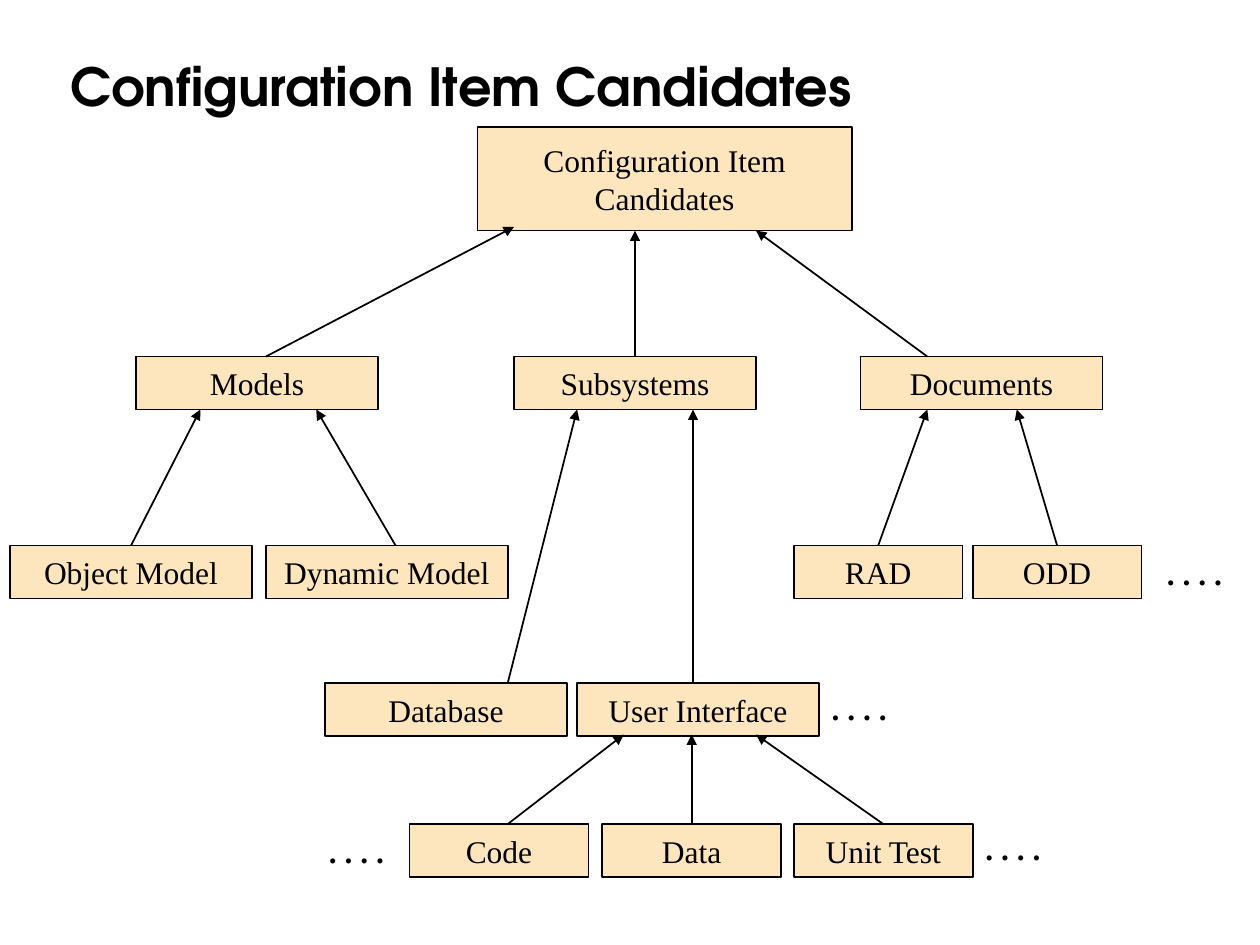
from lxml.etree import SubElement
from pptx import Presentation
from pptx.dml.color import RGBColor
from pptx.enum.shapes import MSO_CONNECTOR as Connector, MSO_SHAPE as Shape
from pptx.enum.text import MSO_ANCHOR as Anchor, PP_ALIGN as Align
from pptx.oxml.ns import qn
from pptx.util import Inches, Pt

BLACK = RGBColor(0x00, 0x00, 0x00)
WHITE = RGBColor(0xFF, 0xFF, 0xFF)
CREAM = RGBColor(0xFD, 0xE5, 0xBD)

BODY_FONT = "Times New Roman"
TITLE_FONT = "TeX Gyre Adventor"
ROOT = "Configuration Item\nCandidates"
ITEM_HEIGHT = 0.42

ROWS = [
    (2.83, 1.92, [("Models", 1.08), ("Subsystems", 4.08), ("Documents", 6.83)]),
    (4.33, 1.92, [("Object Model", 0.08), ("Dynamic Model", 2.11)]),
    (4.33, 1.34, [("RAD", 6.3), ("ODD", 7.72)]),
    (5.42, 1.92, [("Database", 2.58), ("User Interface", 4.58)]),
    (6.54, 1.42, [("Code", 3.25), ("Data", 4.78), ("Unit Test", 6.3)]),
]
ELLIPSES = [(9.16, 4.35), (2.51, 6.55), (7.72, 6.53), (6.5, 5.42)]

# A start of None means the middle of the child's top side.
LINKS = [
    ("Object Model", None, 1.59, 3.25),
    ("Dynamic Model", 3.14, 2.51, 3.25),
    ("Code", 4.03, 4.95, 5.83),
    ("Data", None, 5.49, 5.83),
    ("Unit Test", None, 6, 5.83),
    ("User Interface", 5.5, 5.5, 3.25),
    ("Database", 4.03, 4.58, 3.25),
    ("RAD", None, 7.36, 3.25),
    ("ODD", None, 8.07, 3.25),
    ("Models", 2.11, 4.08, 1.8),
    ("Subsystems", None, 5.04, 1.83),
    ("Documents", 7.36, 6, 1.83),
]


def write_text(shape, text, size=18, font=BODY_FONT, bold=False, align=Align.CENTER, wrap=False):
    text_frame = shape.text_frame
    text_frame.text = text
    text_frame.word_wrap = wrap
    text_frame.vertical_anchor = Anchor.MIDDLE
    for paragraph in text_frame.paragraphs:
        paragraph.alignment = align
        for run in paragraph.runs:
            run.font.size = Pt(size)
            run.font.name = font
            run.font.bold = bold
            run.font.color.rgb = BLACK


def add_title(slide, left, top, width, height):
    title = slide.shapes.add_textbox(Inches(left), Inches(top), Inches(width), Inches(height))
    write_text(title, "Configuration Item Candidates", 30, TITLE_FONT, True, Align.LEFT, True)
    title.text_frame.paragraphs[0].line_spacing = 0.9


def add_item(slide, text, left, top, width, height):
    item = slide.shapes.add_shape(
        Shape.RECTANGLE, Inches(left), Inches(top), Inches(width), Inches(height))
    item.shadow.inherit = False
    item.fill.solid()
    item.fill.fore_color.rgb = CREAM
    item.line.color.rgb = BLACK
    item.line.width = Pt(1)
    write_text(item, text)
    return item


def add_ellipsis(slide, left, top, width, height):
    ellipsis = slide.shapes.add_textbox(
        Inches(left), Inches(top), Inches(width), Inches(height))
    write_text(ellipsis, ". . . .", bold=True)


def add_arrow(slide, child, start_x, end_x, end_y):
    begin_x = child.left + child.width // 2 if start_x is None else Inches(start_x)
    arrow = slide.shapes.add_connector(
        Connector.STRAIGHT, begin_x, child.top, Inches(end_x), Inches(end_y))
    if start_x is None:
        arrow.begin_connect(child, 0)
    arrow.line.color.rgb = BLACK
    arrow.line.width = Pt(1)
    SubElement(arrow.line._get_or_add_ln(), qn("a:tailEnd"), type="triangle")
    SubElement(arrow._element.spPr, qn("a:effectLst"))


def add_tree(slide):
    items = {ROOT: add_item(slide, ROOT, 3.79, 1.01, 2.97, 0.82)}
    for top, width, row in ROWS:
        for text, left in row:
            items[text] = add_item(slide, text, left, top, width, ITEM_HEIGHT)
    for left, top in ELLIPSES:
        add_ellipsis(slide, left, top, 0.64, 0.4)
    for child, start_x, end_x, end_y in LINKS:
        add_arrow(slide, items[child], start_x, end_x, end_y)


def main():
    presentation = Presentation()
    presentation.slide_width = Inches(10)
    presentation.slide_height = Inches(7.5)
    slide = presentation.slides.add_slide(presentation.slide_layouts[6])
    slide.background.fill.solid()
    slide.background.fill.fore_color.rgb = WHITE
    add_tree(slide)
    add_title(slide, 0.46, 0.24, 8.92, 0.94)
    presentation.save("out.pptx")


if __name__ == "__main__":
    main()
